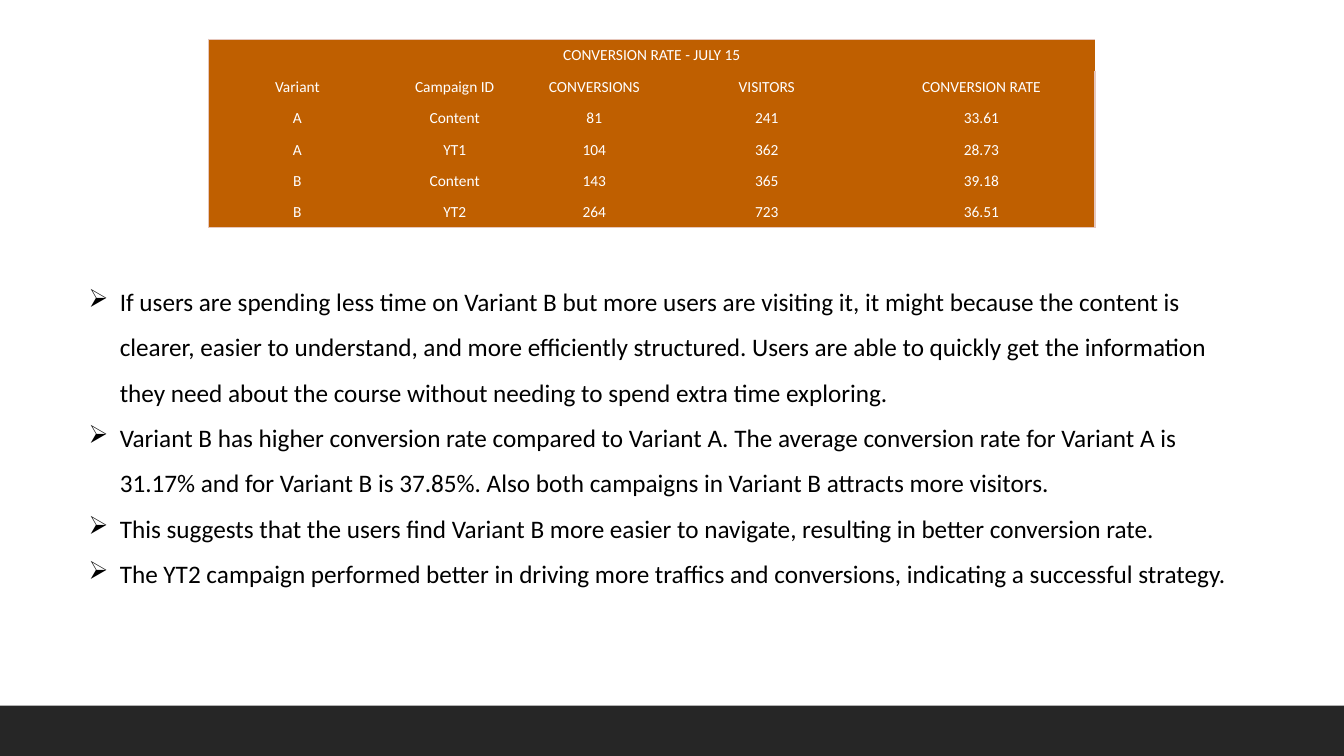
from dataclasses import dataclass

from lxml import etree
from pptx import Presentation
from pptx.dml.color import RGBColor
from pptx.enum import shapes, text
from pptx.oxml import ns
from pptx.util import Inches, Pt

WHITE = RGBColor(0xFF, 0xFF, 0xFF)
BLACK = RGBColor(0x00, 0x00, 0x00)
DARK = RGBColor(0x26, 0x26, 0x26)
RUST = RGBColor(0xBF, 0x5F, 0x00)
PINK = RGBColor(0xE6, 0xC7, 0xBD)
FONT = "Calibri"


@dataclass
class Box:
    left: float
    top: float
    width: float
    height: float

    def place(self) -> tuple:
        return tuple(Inches(n) for n in (self.left, self.top, self.width, self.height))


BAR = Box(0, 7, 13.33, 0.5)
GRID = Box(2.07, 0.39, 8.79, 1.87)
NOTES = Box(0.78, 2.64, 11.77, 4.04)

TITLE = "CONVERSION RATE - JULY 15"
WIDTHS = (1.76, 1.36, 1.41, 2.01, 2.25)
ROWS = (
    (TITLE, "", "", "", ""),
    ("Variant", "Campaign ID", "CONVERSIONS", "VISITORS", "CONVERSION RATE"),
    ("A", "Content", "81", "241", "33.61"),
    ("A", "YT1", "104", "362", "28.73"),
    ("B", "Content", "143", "365", "39.18"),
    ("B", "YT2", "264", "723", "36.51"),
)
POINTS = (
    "If users are spending less time on Variant B but more users are visiting it, "
    "it might because the content is clearer, easier to understand, and more "
    "efficiently structured. Users are able to quickly get the information they need "
    "about the course without needing to spend extra time exploring.",
    "Variant B has higher conversion rate compared to Variant A. The average "
    "conversion rate for Variant A is 31.17% and for Variant B is 37.85%. Also both "
    "campaigns in Variant B attracts more visitors.",
    "This suggests that the users find Variant B more easier to navigate, resulting "
    "in better conversion rate.",
    "The YT2 campaign performed better in driving more traffics and conversions, "
    "indicating a successful strategy.",
)


def add_run(para, words: str, size: float, color: RGBColor) -> None:
    run = para.add_run()
    run.text = words
    run.font.name = FONT
    run.font.size = Pt(size)
    run.font.color.rgb = color


def set_edge(cell, side: str, shown: bool) -> None:
    """Draw the outer border on one side of a cell, or clear that side."""
    line = etree.SubElement(cell._tc.get_or_add_tcPr(), ns.qn(f"a:ln{side}"), w=str(Pt(1)))
    if shown:
        fill = etree.SubElement(line, ns.qn("a:solidFill"))
        etree.SubElement(fill, ns.qn("a:srgbClr"), val=str(PINK))
    else:
        etree.SubElement(line, ns.qn("a:noFill"))


def add_bar(slide) -> None:
    bar = slide.shapes.add_shape(shapes.MSO_SHAPE.RECTANGLE, *BAR.place())
    bar.shadow.inherit = False
    bar.fill.solid()
    bar.fill.fore_color.rgb = DARK
    bar.line.fill.background()


def add_grid(slide) -> None:
    """Add the table of conversion rates."""
    last_row, last_col = len(ROWS) - 1, len(WIDTHS) - 1
    table = slide.shapes.add_table(len(ROWS), len(WIDTHS), *GRID.place()).table
    table.first_row = table.horz_banding = False
    for col, width in zip(table.columns, WIDTHS):
        col.width = Inches(width)
    for r, row in enumerate(ROWS):
        for c, words in enumerate(row):
            cell = table.cell(r, c)
            edges = {"L": c == 0, "R": c == last_col, "T": r == 0, "B": r == last_row}
            for side, shown in edges.items():
                set_edge(cell, side, shown)
            cell.fill.solid()
            cell.fill.fore_color.rgb = RUST
            cell.margin_left = cell.margin_right = cell.margin_top = Inches(0.01)
            cell.margin_bottom = 0
            cell.vertical_anchor = text.MSO_ANCHOR.MIDDLE
            para = cell.text_frame.paragraphs[0]
            para.alignment = text.PP_ALIGN.CENTER
            if words:
                add_run(para, words, 11, WHITE)
    table.cell(0, 0).merge(table.cell(0, last_col))


def add_notes(slide) -> None:
    """Add the bulleted findings."""
    frame = slide.shapes.add_textbox(*NOTES.place()).text_frame
    frame.word_wrap = True
    for i, words in enumerate(POINTS):
        para = frame.add_paragraph() if i else frame.paragraphs[0]
        props = para._p.get_or_add_pPr()
        props.set("marL", str(Inches(0.31)))
        props.set("indent", str(Inches(-0.31)))
        etree.SubElement(props, ns.qn("a:buChar"), char="➢")
        para.line_spacing = 1.5
        add_run(para, words, 18, BLACK)


def main() -> None:
    deck = Presentation()
    deck.slide_width, deck.slide_height = Inches(13.33), Inches(7.5)
    slide = deck.slides.add_slide(deck.slide_layouts[6])
    add_bar(slide)
    add_grid(slide)
    add_notes(slide)
    deck.save("out.pptx")


if __name__ == "__main__":
    main()
